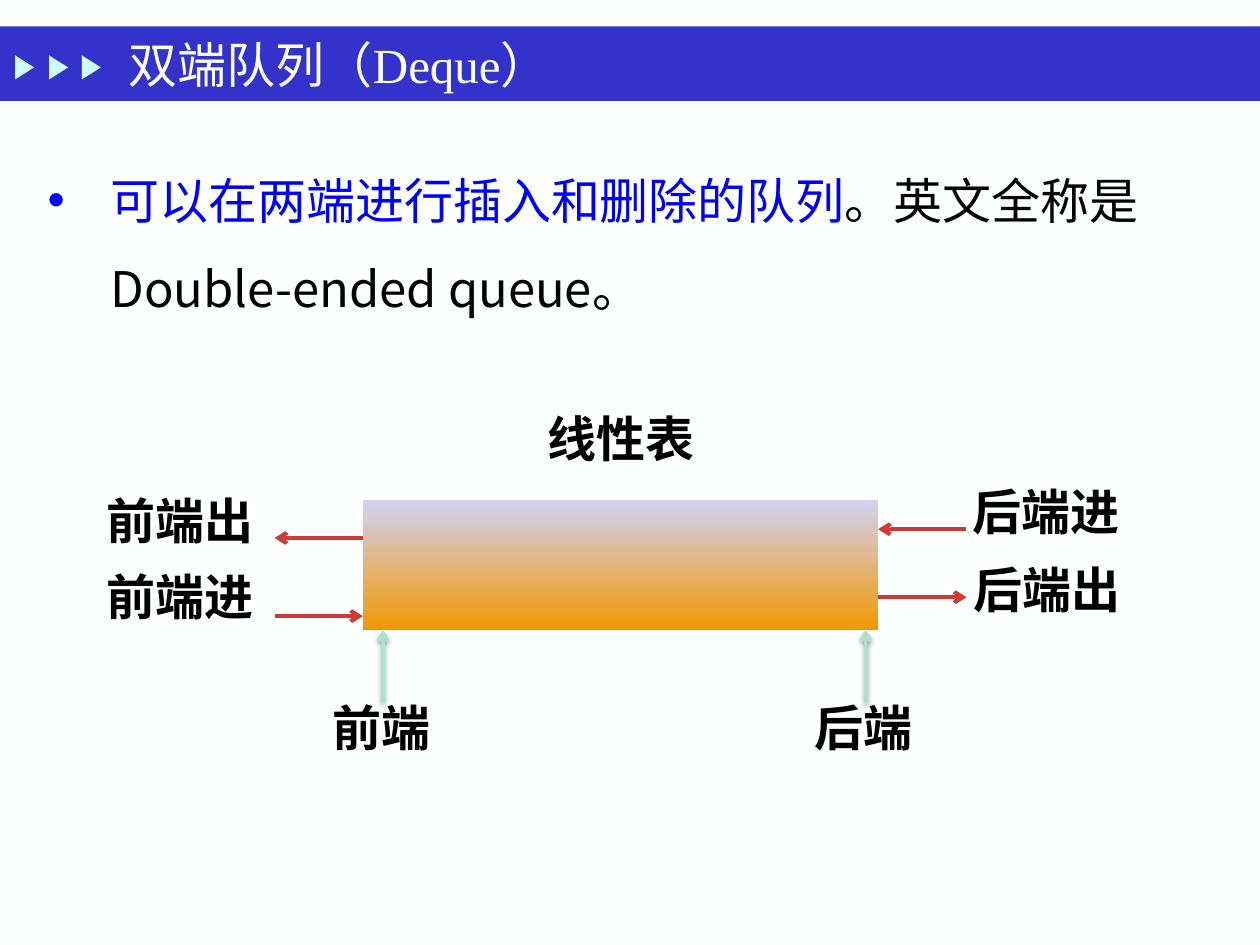
from lxml.etree import SubElement as Sub
from pptx import Presentation
from pptx.dml.color import RGBColor
from pptx.enum.shapes import MSO_CONNECTOR as Conn, MSO_SHAPE as Kind
from pptx.enum.text import MSO_ANCHOR as Anchor, PP_ALIGN as Align
from pptx.oxml.ns import qn
from pptx.util import Inches, Pt

SANS, SERIF = "Noto Sans CJK SC", "Times New Roman"
WHITE, BLACK, BLUE = "FEFFFF", "000000", "0000FF"
RED, GREEN = "CE3B37", "AAE2CA"


def tint(code):
    return RGBColor.from_string(code)


class Board:
    size = 28

    def __init__(self, slide):
        self.slide = slide
        back = slide.background.fill
        back.solid()
        back.fore_color.rgb = tint(WHITE)

    def shape(self, kind, x, y, w, h, fill):
        """Draw a preset shape; a pair of colours runs from bottom to top."""
        item = self.slide.shapes.add_shape(
            kind, Inches(x), Inches(y), Inches(w), Inches(h))
        item.shadow.inherit = False
        item.line.fill.background()
        if isinstance(fill, str):
            item.fill.solid()
            item.fill.fore_color.rgb = tint(fill)
        else:
            item.fill.gradient()
            item.fill.gradient_angle = 90
            for stop, code, place in zip(item.fill.gradient_stops, fill, (0, 1)):
                stop.color.rgb = tint(code)
                stop.position = place
        return item

    def text(self, x, y, w, h, runs, face=SANS, bold=False, gap=1.0,
             align=Align.LEFT, anchor=Anchor.TOP, dot=None):
        """Place one paragraph made of (words, colour) runs."""
        box = self.slide.shapes.add_textbox(
            Inches(x), Inches(y), Inches(w), Inches(h))
        frame = box.text_frame
        frame.word_wrap = True
        frame.vertical_anchor = anchor
        para = frame.paragraphs[0]
        para.alignment = align
        para.line_spacing = gap
        if dot:
            self.bullet(para, dot)
        font = para.font
        font.size, font.bold, font.name = Pt(self.size), bold, face
        Sub(font._rPr, qn("a:ea"), typeface=SANS)
        for words, code in runs:
            run = para.add_run()
            run.text = words
            run.font.color.rgb = tint(code)

    def bullet(self, para, code):
        props = para._p.get_or_add_pPr()
        props.set("marL", str(Inches(0.5)))
        props.set("indent", str(Inches(-0.5)))
        Sub(Sub(props, qn("a:buClr")), qn("a:srgbClr"), val=code)
        Sub(props, qn("a:buFont"), typeface="Arial")
        Sub(props, qn("a:buChar"), char="•")

    def label(self, x, y, w, words, h=0.51, align=Align.LEFT):
        self.text(x, y, w, h, [(words, BLACK)], bold=True, gap=0.8, align=align)

    def arrow(self, x1, y1, x2, y2, code, width, shade=False):
        """Draw an arrow that points at its second end."""
        line = self.slide.shapes.add_connector(
            Conn.STRAIGHT, Inches(x1), Inches(y1), Inches(x2), Inches(y2))
        line.line.color.rgb = tint(code)
        line.line.width = Pt(width)
        Sub(line.line._ln, qn("a:tailEnd"), type="arrow")
        effect = Sub(line._element.spPr, qn("a:effectLst"))
        if shade:
            cast = Sub(effect, qn("a:outerShdw"), blurRad=str(Pt(3.1)),
                       dist=str(Pt(1.6)), dir="5400000", rotWithShape="0")
            dark = Sub(cast, qn("a:srgbClr"), val=BLACK)
            Sub(dark, qn("a:alpha"), val="38000")


def main():
    deck = Presentation()
    deck.slide_width, deck.slide_height = Inches(10), Inches(7.5)
    board = Board(deck.slides.add_slide(deck.slide_layouts[6]))

    # Title bar with three markers
    board.shape(Kind.RECTANGLE, 0, 0.21, 10, 0.59, "3333CC")
    for x in (0.1, 0.37, 0.63):
        mark = board.shape(Kind.ISOSCELES_TRIANGLE, x, 0.46, 0.19, 0.15, "CBFFFF")
        mark.rotation = 90
    board.text(0.92, 0.26, 7, 0.5, [("双端队列（Deque）", WHITE)],
               face=SERIF, anchor=Anchor.MIDDLE)

    # Definition
    board.text(0.28, 1.07, 9.45, 6.17,
               [("可以在两端进行插入和删除的队列", BLUE),
                ("。英文全称是Double-ended queue。", BLACK)],
               gap=1.5, dot=BLUE)

    # Linear list
    left, top, wide, high = 2.88, 3.97, 4.09, 1.03
    right, base = left + wide, top + high
    board.shape(Kind.RECTANGLE, left, top, wide, high, ("F39801", "D2D2F4"))
    board.label(4.18, 3.28, 1.5, "线性表", align=Align.CENTER)

    # Front and rear pointers
    for x, words in ((3.04, "前端"), (6.87, "后端")):
        board.label(x - 0.5, 5.58, 1, words, h=0.92)
        board.arrow(x, 5.58, x, base, GREEN, 2, shade=True)

    # Moves in and out at each end: label place, words, arrow
    reach = 0.7
    for x, y, words, start, end, level in (
            (7.62, 3.86, "后端进", right + reach, right, 4.2),
            (7.63, 4.48, "后端出", right, right + reach, 4.74),
            (0.75, 3.93, "前端出", left, left - reach, 4.27),
            (0.75, 4.54, "前端进", left - reach, left, 4.89)):
        board.arrow(start, level, end, level, RED, 2.25)
        board.label(x, y, 1.6, words)

    deck.save("out.pptx")


if __name__ == "__main__":
    main()
